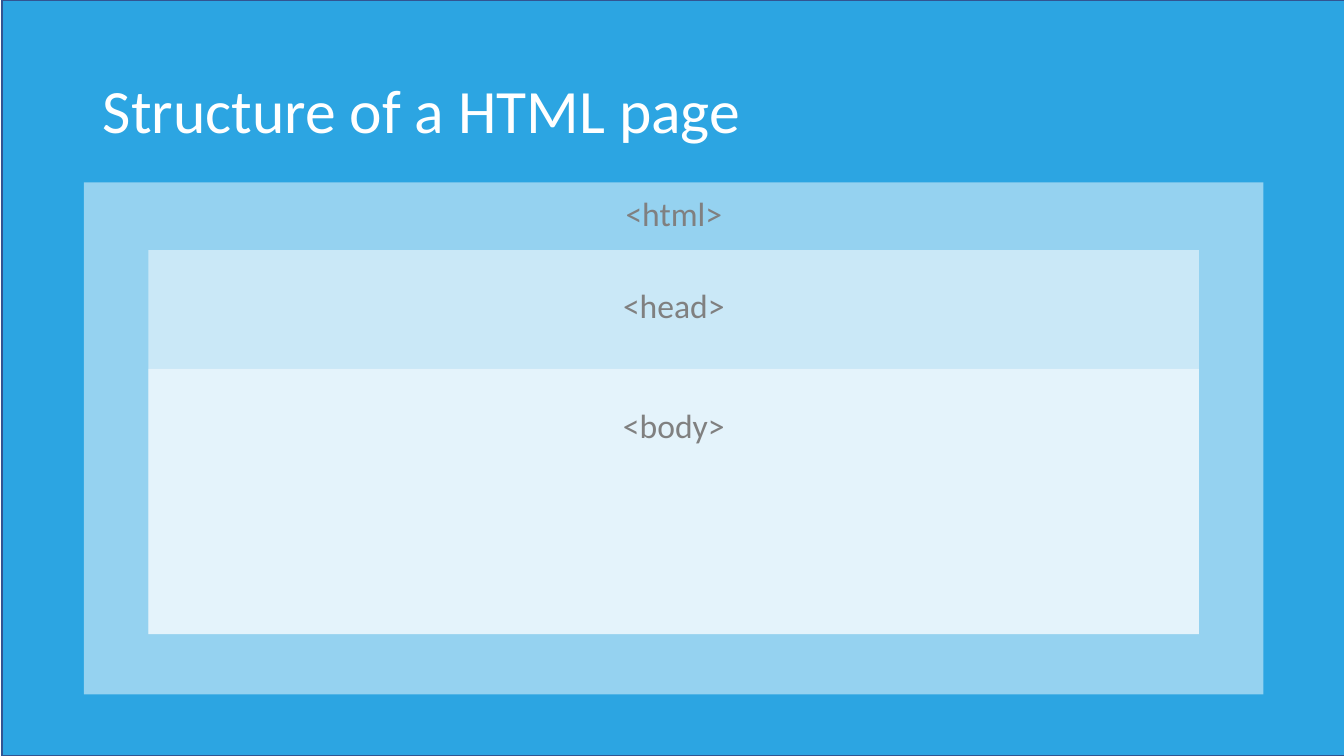
"""Build a slide that shows the nested parts of an HTML page."""
from dataclasses import dataclass

import pptx
import pptx.dml.color
import pptx.enum.shapes
import pptx.enum.text
import pptx.oxml
import pptx.oxml.ns
import pptx.shapes.autoshape
import pptx.slide
import pptx.text.text
import pptx.util

WIDE = pptx.util.Inches(13.33)
HIGH = pptx.util.Inches(7.5)


@dataclass(frozen=True)
class Theme:
    font: str = "Calibri"
    head: int = 44
    label: int = 24
    back: str = "2CA5E2"
    edge: str = "325491"
    panel: str = "FFFFFF"
    title: str = "FFFFFF"
    grey: str = "808080"
    alpha: int = 50


@dataclass(frozen=True)
class Box:
    left: float
    top: float
    width: float
    height: float

    def place(self) -> tuple[int, int, int, int]:
        """Turn percentages of the slide into lengths."""
        return (int(WIDE * self.left / 100), int(HIGH * self.top / 100),
                int(WIDE * self.width / 100), int(HIGH * self.height / 100))


@dataclass(frozen=True)
class Panel:
    tag: str
    box: Box
    drop: float


THEME = Theme()
TITLE = Box(6.9, 5.33, 86.27, 19.33)
PANELS = (
    Panel("<html>", Box(6.25, 24.13, 87.75, 67.73), 0.67),
    Panel("<head>", Box(11.03, 33.07, 78.17, 50.8), 4),
    Panel("<body>", Box(11.03, 48.8, 78.17, 35.07), 4.13),
)


def color(code: str) -> pptx.dml.color.RGBColor:
    """Read a hex colour."""
    return pptx.dml.color.RGBColor.from_string(code)


def style(para: pptx.text.text._Paragraph, size: int, code: str,
          align: pptx.enum.text.PP_ALIGN) -> None:
    """Set the font and alignment of a paragraph."""
    para.alignment = align
    para.font.name = THEME.font
    para.font.size = pptx.util.Pt(size)
    para.font.color.rgb = color(code)


def block(slide: pptx.slide.Slide, box: Box, code: str) -> pptx.shapes.autoshape.Shape:
    """Add a plain filled rectangle."""
    shape = slide.shapes.add_shape(
        pptx.enum.shapes.MSO_SHAPE.RECTANGLE, *box.place())
    shape.shadow.inherit = False
    shape.fill.solid()
    shape.fill.fore_color.rgb = color(code)
    shape.line.fill.background()
    return shape


def fade(shape: pptx.shapes.autoshape.Shape, share: int) -> None:
    """Make a solid fill partly clear."""
    tint = shape.element.spPr.find(".//" + pptx.oxml.ns.qn("a:srgbClr"))
    alpha = pptx.oxml.parse_xml(
        f'<a:alpha {pptx.oxml.ns.nsdecls("a")} val="{share * 1000}"/>')
    tint.append(alpha)


def label(slide: pptx.slide.Slide, panel: Panel) -> None:
    """Write the tag near the top of its panel."""
    box = Box(34.35, panel.box.top + panel.drop, 31.58, 6.67)
    text = slide.shapes.add_textbox(*box.place()).text_frame
    text.word_wrap = True
    text.auto_size = pptx.enum.text.MSO_AUTO_SIZE.SHAPE_TO_FIT_TEXT
    text.text = panel.tag
    style(text.paragraphs[0], THEME.label, THEME.grey,
          pptx.enum.text.PP_ALIGN.CENTER)


def head(slide: pptx.slide.Slide) -> None:
    """Fill the title over a coloured backdrop."""
    title = slide.shapes.title
    title.left, title.top, title.width, title.height = TITLE.place()
    text = title.text_frame
    text.text = "Structure of a HTML page"
    text.auto_size = pptx.enum.text.MSO_AUTO_SIZE.NONE
    text.vertical_anchor = pptx.enum.text.MSO_ANCHOR.MIDDLE
    para = text.paragraphs[0]
    para.line_spacing = 0.9
    style(para, THEME.head, THEME.title, pptx.enum.text.PP_ALIGN.LEFT)

    back = block(slide, Box(0.15, 0, 100, 100), THEME.back)
    back.line.color.rgb = color(THEME.edge)
    back.line.width = pptx.util.Pt(1)
    title.element.addprevious(back.element)


def main() -> None:
    """Build and save the slide."""
    deck = pptx.Presentation()
    deck.slide_width, deck.slide_height = WIDE, HIGH
    slide = deck.slides.add_slide(deck.slide_layouts.get_by_name("Title Only"))
    head(slide)
    for panel in PANELS:
        fade(block(slide, panel.box, THEME.panel), THEME.alpha)
        label(slide, panel)
    deck.save("out.pptx")


if __name__ == "__main__":
    main()
